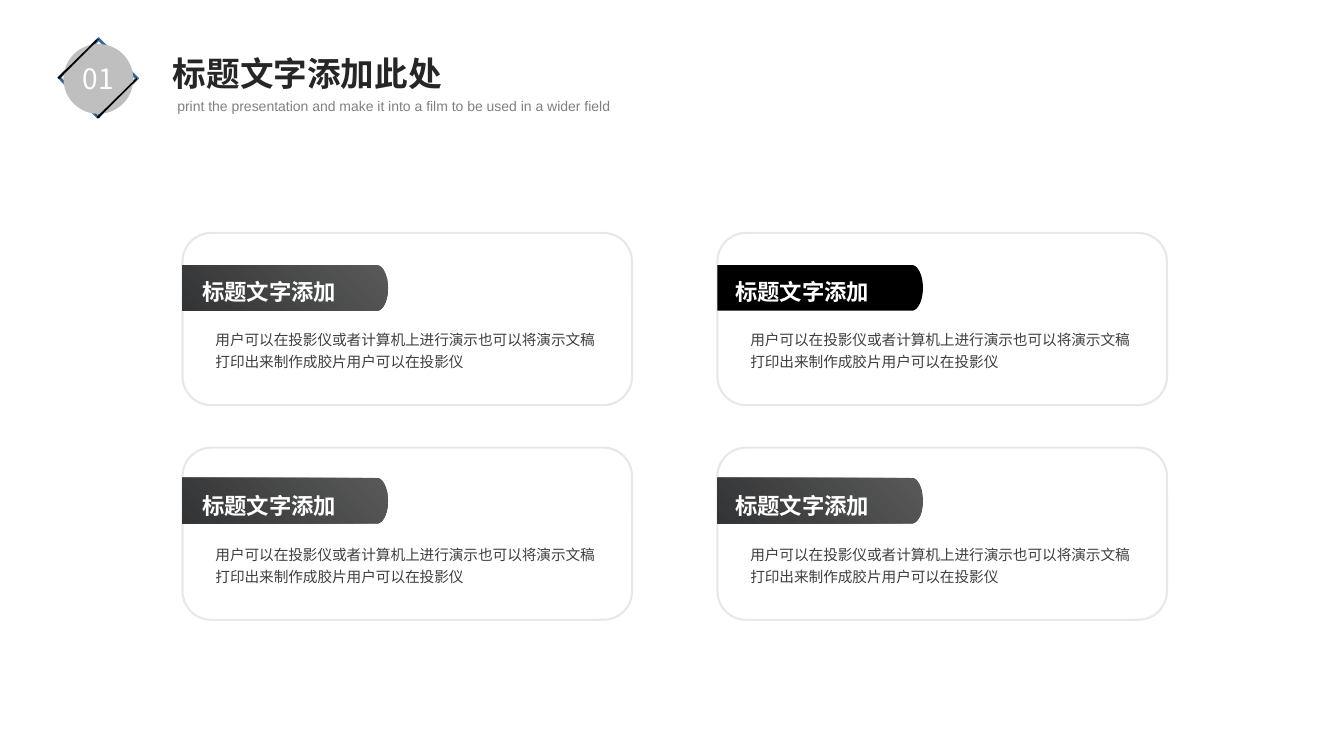
"""Build a title slide section with four captioned cards."""
from math import cos, pi, sin

from lxml.etree import SubElement
from pptx import Presentation
from pptx.dml.color import RGBColor
from pptx.enum.shapes import MSO_SHAPE
from pptx.enum.text import PP_ALIGN
from pptx.oxml.ns import qn
from pptx.util import Cm, Pt

BLACK = RGBColor(0x00, 0x00, 0x00)
WHITE = RGBColor(0xFF, 0xFF, 0xFF)
BADGE_GRAY = RGBColor(0xBF, 0xBF, 0xBF)
FRAME_BLUE = RGBColor(0x43, 0x73, 0x9E)
CARD_BORDER = RGBColor(0xE8, 0xE8, 0xE8)
TAB_LIGHT = RGBColor(0x59, 0x59, 0x59)
TAB_DARK = RGBColor(0x33, 0x34, 0x35)
HEADING = RGBColor(0x26, 0x26, 0x26)
SUBHEADING = RGBColor(0x80, 0x80, 0x80)
BODY = RGBColor(0x40, 0x40, 0x40)
CJK_FONT = "Noto Sans CJK SC"
LATIN_FONT = "Arial"

CARD_TITLE = "标题文字添加"
CARD_BODY = "用户可以在投影仪或者计算机上进行演示也可以将演示文稿打印出来制作成胶片用户可以在投影仪"

presentation = Presentation()
presentation.slide_width = Cm(33.87)
presentation.slide_height = Cm(19.05)
slide = presentation.slides.add_slide(presentation.slide_layouts[6])
shapes = slide.shapes


def add_text(text, left, top, width, height, size, color,
             font=LATIN_FONT, bold=False, spacing=None, wrap=True):
    box = shapes.add_textbox(Cm(left), Cm(top), Cm(width), Cm(height))
    box.text_frame.word_wrap = wrap
    box.text_frame.text = text
    paragraph = box.text_frame.paragraphs[0]
    paragraph.line_spacing = spacing
    run = paragraph.runs[0]
    run.font.size = Pt(size)
    run.font.bold = bold
    run.font.color.rgb = color
    run.font.name = font
    SubElement(run.font._element, qn("a:ea")).set("typeface", CJK_FONT)
    return paragraph


def add_outline(points):
    corners = [(Cm(x), Cm(y)) for x, y in points]
    builder = shapes.build_freeform(*corners[0])
    builder.add_line_segments(corners[1:], close=True)
    outline = builder.convert_to_shape()
    outline.shadow.inherit = False
    outline.line.fill.background()
    outline.fill.solid()
    outline.fill.fore_color.rgb = BLACK
    return outline


diamond = shapes.add_shape(MSO_SHAPE.FRAME, Cm(1.76), Cm(1.25), Cm(1.43), Cm(1.43))
diamond.adjustments[0] = 0.03
diamond.rotation = 315.7
diamond.shadow.inherit = False
diamond.fill.solid()
diamond.fill.fore_color.rgb = BLACK
diamond.line.color.rgb = FRAME_BLUE
diamond.line.width = Pt(1)

badge = shapes.add_shape(MSO_SHAPE.OVAL, Cm(1.6), Cm(1.11), Cm(1.76), Cm(1.76))
badge.shadow.inherit = False
badge.fill.solid()
badge.fill.fore_color.rgb = BADGE_GRAY
badge.line.fill.background()

EDGE = [(2.46, 0.97), (2.46, 1.02), (1.52, 1.96), (1.52, 1.98), (1.47, 1.98), (1.45, 1.96)]
for shift in (0, 0.99):
    add_outline([(x + shift, y + shift) for x, y in EDGE])

number = add_text("01", 1.83, 1.42, 1.3, 1.12, 20, WHITE, font=CJK_FONT, wrap=False)
number.alignment = PP_ALIGN.CENTER

TAB_HEIGHT, TAB_STRAIGHT, TAB_BULGE = 1.15, 4.9, 0.28
columns = [(4.6, 0.25), (18.08, 0.2)]
rows = [(5.87, 0.81, 0.89), (11.28, 0.76, 0.86)]
for column, (left, title_indent) in enumerate(columns):
    for row, (top, tab_drop, title_drop) in enumerate(rows):
        card = shapes.add_shape(MSO_SHAPE.ROUNDED_RECTANGLE,
                                Cm(left), Cm(top), Cm(11.33), Cm(4.34))
        card.shadow.inherit = False
        card.fill.solid()
        card.fill.fore_color.rgb = WHITE
        card.line.color.rgb = CARD_BORDER
        card.line.width = Pt(1.5)

        radius = TAB_HEIGHT / 2
        middle = top + tab_drop + radius
        angles = [pi * step / 24 - pi / 2 for step in range(25)]
        rounded_end = [(left + TAB_STRAIGHT + TAB_BULGE * cos(angle),
                        middle + radius * sin(angle)) for angle in angles]
        tab = add_outline([(left, middle - radius), *rounded_end, (left, middle + radius)])
        if (column, row) != (1, 0):
            tab.fill.gradient()
            tab.fill.gradient_angle = 225
            for stop, color in zip(tab.fill.gradient_stops, (TAB_LIGHT, TAB_DARK)):
                stop.color.rgb = color

        add_text(CARD_TITLE, left + title_indent, top + title_drop, 4.93, 1.02,
                 16, WHITE, bold=True, spacing=1.2)
        add_text(CARD_BODY, left + 0.58, top + 2.24, 10.08, 1.37, 10.5, BODY, spacing=1.25)

add_text("标题文字添加此处", 4.11, 1.22, 9.14, 1.27, 24, HEADING, font=CJK_FONT, bold=True)
add_text("print the presentation and make it into a film to be used in a wider field",
         4.22, 2.24, 13.56, 0.76, 10, SUBHEADING, spacing=1.2)

presentation.save("out.pptx")
